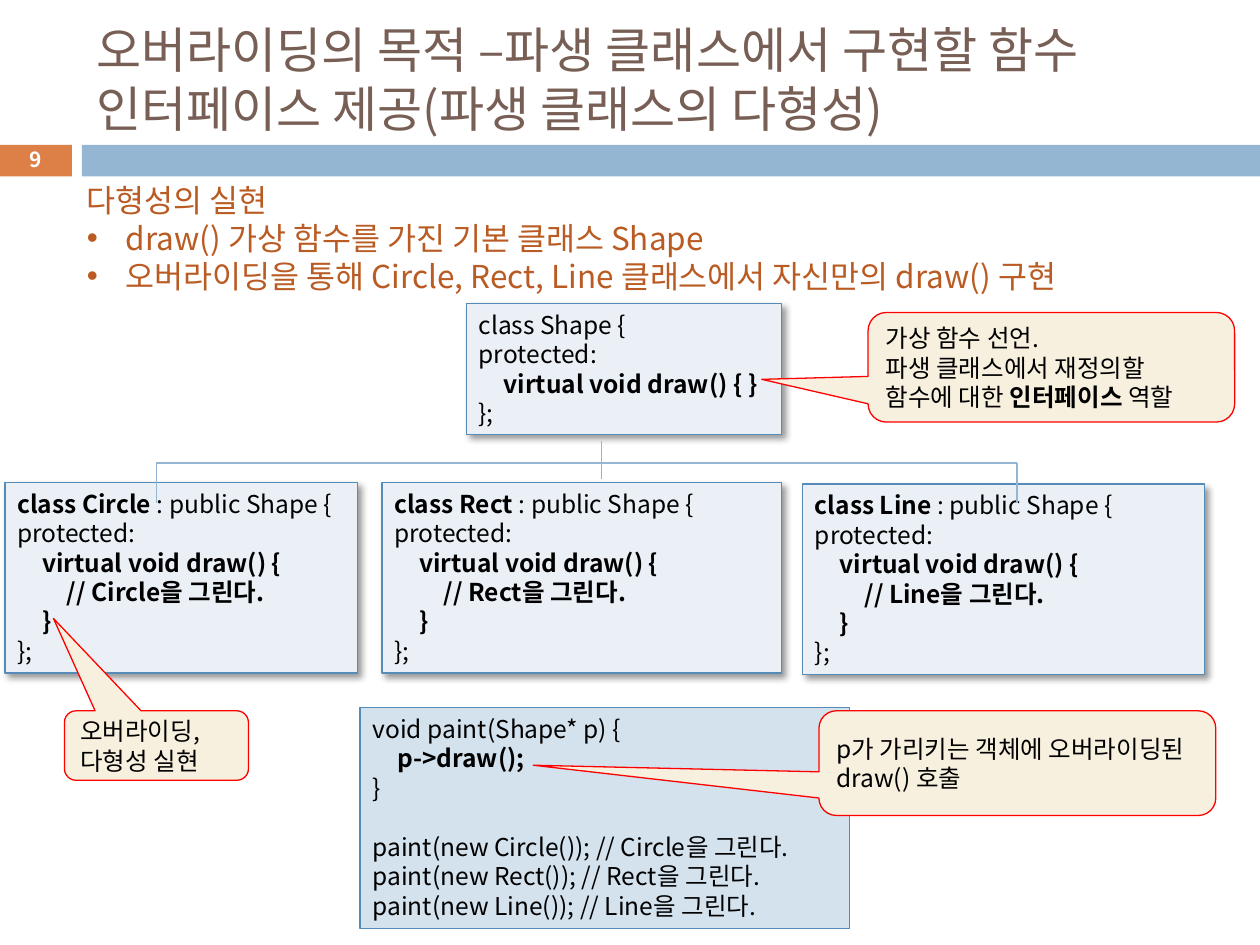
from lxml import etree
from pptx import Presentation
from pptx.dml.color import RGBColor
from pptx.enum.shapes import MSO_CONNECTOR, MSO_SHAPE
from pptx.enum.text import MSO_ANCHOR, PP_ALIGN
from pptx.oxml.ns import qn
from pptx.util import Cm, Pt

FONT = "Noto Sans CJK KR"
BLACK = RGBColor(0x00, 0x00, 0x00)
WHITE = RGBColor(0xFF, 0xFF, 0xFF)
BROWN = RGBColor(0x77, 0x5F, 0x55)
ORANGE = RGBColor(0xDD, 0x80, 0x47)
RUST = RGBColor(0xB9, 0x5B, 0x22)
BLUE = RGBColor(0x94, 0xB6, 0xD2)
EDGE_BLUE = RGBColor(0x55, 0x8B, 0xB8)
CLASS_FILL = RGBColor(0xEA, 0xF0, 0xF6)
PAINT_FILL = RGBColor(0xD4, 0xE2, 0xED)
CREAM = RGBColor(0xF7, 0xF0, 0xDE)
RED = RGBColor(0xFF, 0x00, 0x00)
LINE_HEIGHT = 1.2

prs = Presentation()
prs.slide_width, prs.slide_height = Cm(25.4), Cm(19.05)
slide = prs.slides.add_slide(prs.slide_layouts[6])


def add_block(kind, box, fill, edge=None):
    block = slide.shapes.add_shape(kind, *map(Cm, box))
    block.shadow.inherit = False
    block.fill.solid()
    block.fill.fore_color.rgb = fill
    if edge is None:
        block.line.fill.background()
    else:
        block.line.color.rgb = edge
        block.line.width = Pt(0.75)
    return block


def write(shape, lines, size=14, color=BLACK, anchor=MSO_ANCHOR.TOP,
          align=PP_ALIGN.LEFT, wrap=True):
    """Write one paragraph per line; each | switches bold on or off."""
    frame = shape.text_frame
    frame.word_wrap = wrap
    frame.vertical_anchor = anchor
    bold = False
    for number, line in enumerate(lines):
        paragraph = frame.add_paragraph() if number else frame.paragraphs[0]
        paragraph.alignment = align
        paragraph.line_spacing = Pt(size * LINE_HEIGHT)
        if "\t" in line:
            stops = etree.SubElement(paragraph._p.get_or_add_pPr(), qn("a:tabLst"))
            for step in (1, 2):
                etree.SubElement(stops, qn("a:tab"), pos=str(Cm(0.5 * step)), algn="l")
        for index, part in enumerate(line.split("|")):
            if index:
                bold = not bold
            if not part:
                continue
            run = paragraph.add_run()
            run.text = part
            for key, value in {"size": Pt(size), "bold": bold, "name": FONT}.items():
                setattr(run.font, key, value)
            run.font.color.rgb = color
            etree.SubElement(run._r.get_or_add_rPr(), qn("a:ea"), typeface=FONT)
    return frame


# Header
add_block(MSO_SHAPE.RECTANGLE, (-0.03, 2.92, 1.48, 0.64), ORANGE)
add_block(MSO_SHAPE.RECTANGLE, (1.65, 2.92, 23.75, 0.64), BLUE)
title = slide.shapes.add_textbox(Cm(1.7), Cm(0.64), Cm(22.66), Cm(1.88))
write(title, ["오버라이딩의 목적 –파생 클래스에서 구현할 함수 인터페이스 제공(파생 클래스의 다형성)"],
      28, BROWN, MSO_ANCHOR.MIDDLE)
page_number = slide.shapes.add_textbox(Cm(-0.03), Cm(2.87), Cm(1.48), Cm(0.69))
write(page_number, ["|9"], 11.9, WHITE, MSO_ANCHOR.MIDDLE, PP_ALIGN.CENTER)

# Class boxes
class_boxes = [((9.4, 6.12, 6.35, 2.64),
                ["class Shape {", "protected:", "\t|virtual void draw() { }|", "};"])]
for name, box in {
    "Circle": (0.1, 9.73, 7.11, 3.84),
    "Rect": (7.7, 9.73, 8.05, 3.84),
    "Line": (16.18, 9.76, 8.1, 3.84),
}.items():
    class_boxes.append((box, [
        f"|class {name} |: public Shape {{", "protected:", "\t|virtual void draw() {",
        f"\t\t// {name}을 그린다.", "\t}|", "};"]))
for box, code in class_boxes:
    class_box = add_block(MSO_SHAPE.RECTANGLE, box, CLASS_FILL, EDGE_BLUE)
    effects = class_box._element.spPr.find(qn("a:effectLst"))
    shadow = etree.SubElement(effects, qn("a:outerShdw"), blurRad=str(Pt(4)),
                              dist=str(Pt(3)), dir="2700000", algn="tl", rotWithShape="0")
    shade = etree.SubElement(shadow, qn("a:srgbClr"), val=str(BLACK))
    etree.SubElement(shade, qn("a:alpha"), val="40000")
    write(class_box, code)

# Polymorphic call
paint_box = add_block(MSO_SHAPE.RECTANGLE, (7.26, 14.27, 9.86, 4.45), PAINT_FILL, EDGE_BLUE)
paint_code = write(paint_box, ["void paint(Shape* p) {", "\t|p->draw();|", "}"] + [
    f"paint(new {name}()); // {name}을 그린다." for name in ("Circle", "Rect", "Line")])
paint_code.paragraphs[3].space_before = Pt(14 * LINE_HEIGHT)

# Callouts: box, pointer offset, text
for box, pointer, remark in [
    ((16.51, 14.33, 8, 2.11), (-1.22, 0.02),
     ["p가 가리키는 객체에 오버라이딩된 draw() 호출"]),
    ((1.3, 14.33, 3.71, 1.4), (-0.56, -1.83), ["오버라이딩,", "다형성 실현"]),
    ((17.5, 6.3, 7.39, 2.21), (-0.79, 0.11),
     ["가상 함수 선언.", "파생 클래스에서 재정의할 함수에 대한 |인터페이스| 역할"]),
]:
    callout = add_block(MSO_SHAPE.ROUNDED_RECTANGULAR_CALLOUT, box, CREAM, RED)
    callout.adjustments[0], callout.adjustments[1] = pointer
    write(callout, remark, anchor=MSO_ANCHOR.MIDDLE)

# Key points
key_points = slide.shapes.add_textbox(Cm(1.5), Cm(3.53), Cm(21.41), Cm(2.57))
points = write(key_points, [
    "다형성의 실현",
    "draw() 가상 함수를 가진 기본 클래스 Shape",
    "오버라이딩을 통해 Circle, Rect, Line 클래스에서 자신만의 draw() 구현",
], 18, RUST, wrap=False)
for point in points.paragraphs[1:]:
    properties = point._p.get_or_add_pPr()
    properties.set("marL", str(Cm(0.79)))
    properties.set("indent", str(Cm(-0.79)))
    etree.SubElement(properties, qn("a:buFont"), typeface="Arial")
    etree.SubElement(properties, qn("a:buChar"), char="•")

# Inheritance tree
LEFT, RIGHT, BRANCH = 3.15, 20.5, 9.33
for ends in [
    (LEFT, BRANCH, LEFT, 10.13),
    (RIGHT, BRANCH, RIGHT, 10.13),
    (LEFT, BRANCH, RIGHT, BRANCH),
    (12.12, 8.89, 12.12, 9.65),
]:
    branch = slide.shapes.add_connector(MSO_CONNECTOR.STRAIGHT, *map(Cm, ends))
    branch.line.color.rgb = BLUE
    branch.line.width = Pt(0.79)
    etree.SubElement(branch._element.spPr, qn("a:effectLst"))

prs.save("out.pptx")
